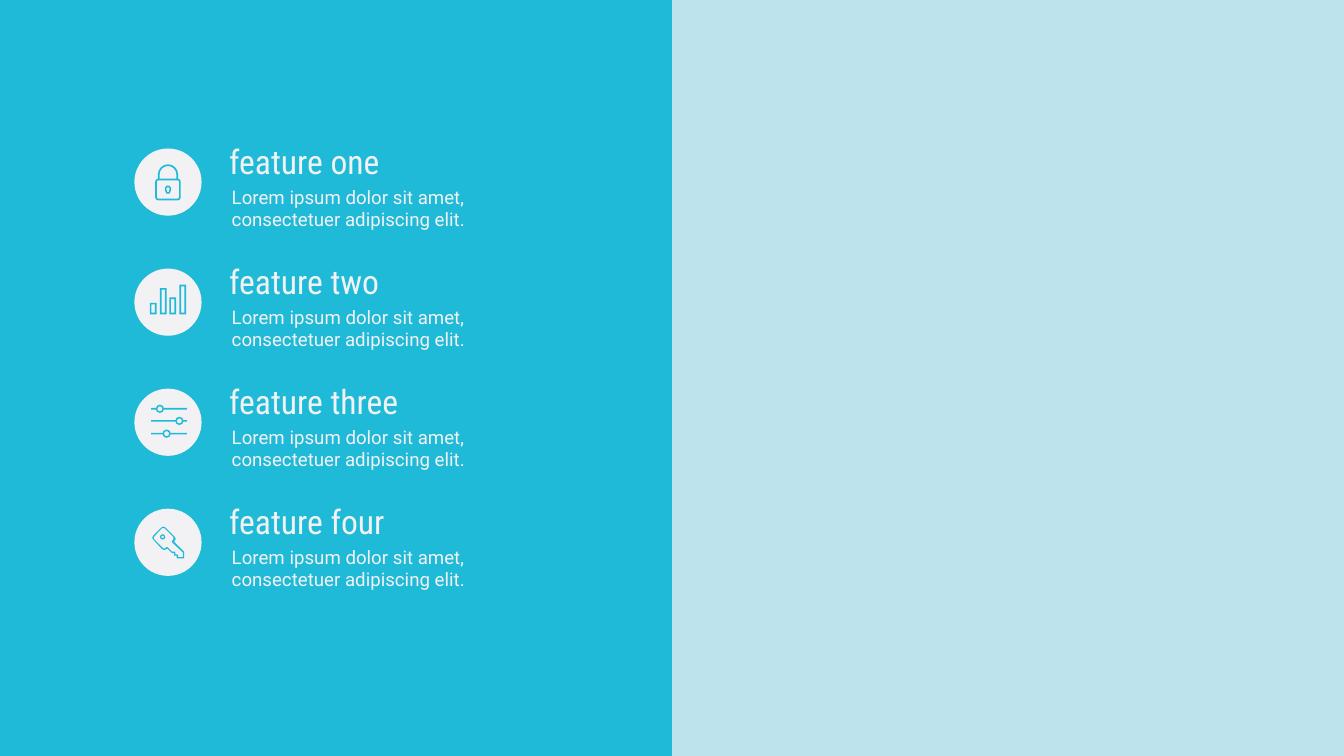
import math
from lxml import etree
from pptx import Presentation
from pptx.dml.color import RGBColor
from pptx.enum import shapes, text
from pptx.oxml import ns
from pptx.util import Inches, Pt

WIDTH, HEIGHT = 20, 11.25
CYAN, PALE = "1FBAD7", "F2F2F5"
DESCRIPTION = "Lorem ipsum dolor sit amet, consectetuer adipiscing elit."
COLUMN, FIRST_ROW, LAST_ROW, DISC = 2, 2.21, 7.57, 1
UNITS = 1000

BAR_LEFTS, BAR_TOPS = (23, 38, 52, 67), (51, 29, 43, 24)
KNOBS = [(38, 30), (67, 48), (48, 67)]
KEY_OUTER = [
    (74, 64), (59, 49), (61.5, 45), (60, 42), (46, 28), (43, 26.5),
    (40, 28), (28, 40), (26.5, 43), (28, 46), (41, 60), (44.5, 61.5), (48, 60),
    (49, 59), (55, 65), (56, 66), (59, 66), (59, 69), (60, 70), (63, 70),
    (63, 73), (64, 74), (74, 74),
]
KEY_INNER = [
    (72, 72), (65, 72), (65, 69), (64, 68), (61, 68), (61, 65), (60, 64),
    (56, 64), (49, 57), (48, 57), (46, 59), (43, 59), (29, 45), (29, 42),
    (41, 29), (45, 29), (58, 42), (58, 46), (56, 48), (56, 50), (72, 65),
]


def arc(x, y, radius, start, end, steps):
    angles = [math.radians(start + (end - start) * i / steps) for i in range(steps + 1)]
    return [(x + radius * math.cos(a), y + radius * math.sin(a)) for a in angles]


def circle(x, y, radius):
    return arc(x, y, radius, 0, 315, 7)


def box(left, top, right, bottom):
    return [(left, top), (right, top), (right, bottom), (left, bottom)]


def rounded_box(left, top, right, bottom, radius):
    centers = box(left + radius, top + radius, right - radius, bottom - radius)
    return [point for i, (x, y) in enumerate(centers)
            for point in arc(x, y, radius, 180 + 90 * i, 270 + 90 * i, 2)]


def arch(x, y, radius, bottom):
    return arc(x, y, radius, 180, 360, 8) + [(x + radius, bottom), (x - radius, bottom)]


def keyhole(radius, foot, bottom):
    return arc(50, 60, radius, 150, 390, 5) + [(50 + foot, bottom), (50 - foot, bottom)]


def lock():
    return [arch(50, 38.5, 15, 45), arch(50, 38.5, 12.5, 45),
            rounded_box(31, 45, 69, 77, 4), rounded_box(33.5, 47.5, 66.5, 74.5, 2),
            keyhole(5, 2.5, 67), keyhole(2.5, 1, 65)]


def bars():
    return [box(left + inset, top + inset, left + 10 - inset, 68 - inset)
            for left, top in zip(BAR_LEFTS, BAR_TOPS) for inset in (0, 2.5)]


def sliders():
    contours = []
    for x, y in KNOBS:
        contours += [circle(x, y, 6.25), circle(x, y, 3.75),
                     box(25, y - 1.25, x - 6, y + 1.25),
                     box(x + 6, y - 1.25, 78, y + 1.25)]
    return contours


def key():
    return [KEY_OUTER, KEY_INNER, circle(42, 42, 4), circle(42, 42, 2)]


FEATURES = [("feature one", lock), ("feature two", bars),
            ("feature three", sliders), ("feature four", key)]


def paint(shape, color):
    shape.shadow.inherit = False
    shape.fill.solid()
    shape.fill.fore_color.rgb = RGBColor.from_string(color)
    shape.line.fill.background()


def add_solid(container, kind, color, left, top, width, height):
    shape = container.add_shape(kind, *map(Inches, (left, top, width, height)))
    paint(shape, color)
    return shape


def add_text(container, content, font_name, size, left, top, width, height):
    frame = container.add_textbox(*map(Inches, (left, top, width, height))).text_frame
    frame.word_wrap = True
    frame.auto_size = text.MSO_AUTO_SIZE.SHAPE_TO_FIT_TEXT
    frame.text = content
    font = frame.paragraphs[0].runs[0].font
    font.name, font.size = font_name, Pt(size)
    font.color.rgb = RGBColor.from_string(PALE)


def add_icon(container, contours, left, top):
    scaled = [[(x * UNITS / 100, y * UNITS / 100) for x, y in contour]
              for contour in contours]
    builder = container.build_freeform(*scaled[0][0], scale=Inches(DISC) / UNITS)
    for i, contour in enumerate(scaled):
        if i:
            builder.move_to(*contour[0])
        builder.add_line_segments(contour[1:], close=True)
    paint(builder.convert_to_shape(Inches(left), Inches(top)), CYAN)


def main():
    presentation = Presentation()
    presentation.slide_width, presentation.slide_height = Inches(WIDTH), Inches(HEIGHT)
    slide = presentation.slides.add_slide(presentation.slide_layouts[6])
    background = slide.background.fill
    background.solid()
    background.fore_color.rgb = RGBColor.from_string(PALE)

    rectangle, oval = shapes.MSO_SHAPE.RECTANGLE, shapes.MSO_SHAPE.OVAL
    tint = add_solid(slide.shapes, rectangle, CYAN, 0, 0, WIDTH, HEIGHT)
    color = next(tint.element.spPr.iter(ns.qn("a:srgbClr")))
    etree.SubElement(color, ns.qn("a:alpha"), val="25000")
    add_solid(slide.shapes, rectangle, CYAN, 0, 0, WIDTH / 2, HEIGHT)

    pitch = (LAST_ROW - FIRST_ROW) / (len(FEATURES) - 1)
    for row, (title, icon) in enumerate(FEATURES):
        top = FIRST_ROW + row * pitch
        group = slide.shapes.add_group_shape().shapes
        add_solid(group, oval, PALE, COLUMN, top, DISC, DISC)
        add_text(group, DESCRIPTION, "Roboto", 20, COLUMN + 1.35, top + 0.5, 5.28, 0.77)
        add_text(group, title, "Roboto Condensed", 36, COLUMN + 1.31, top - 0.17, 4.96, 0.71)
        add_icon(group, icon(), COLUMN, top)

    presentation.save("out.pptx")


if __name__ == "__main__":
    main()
